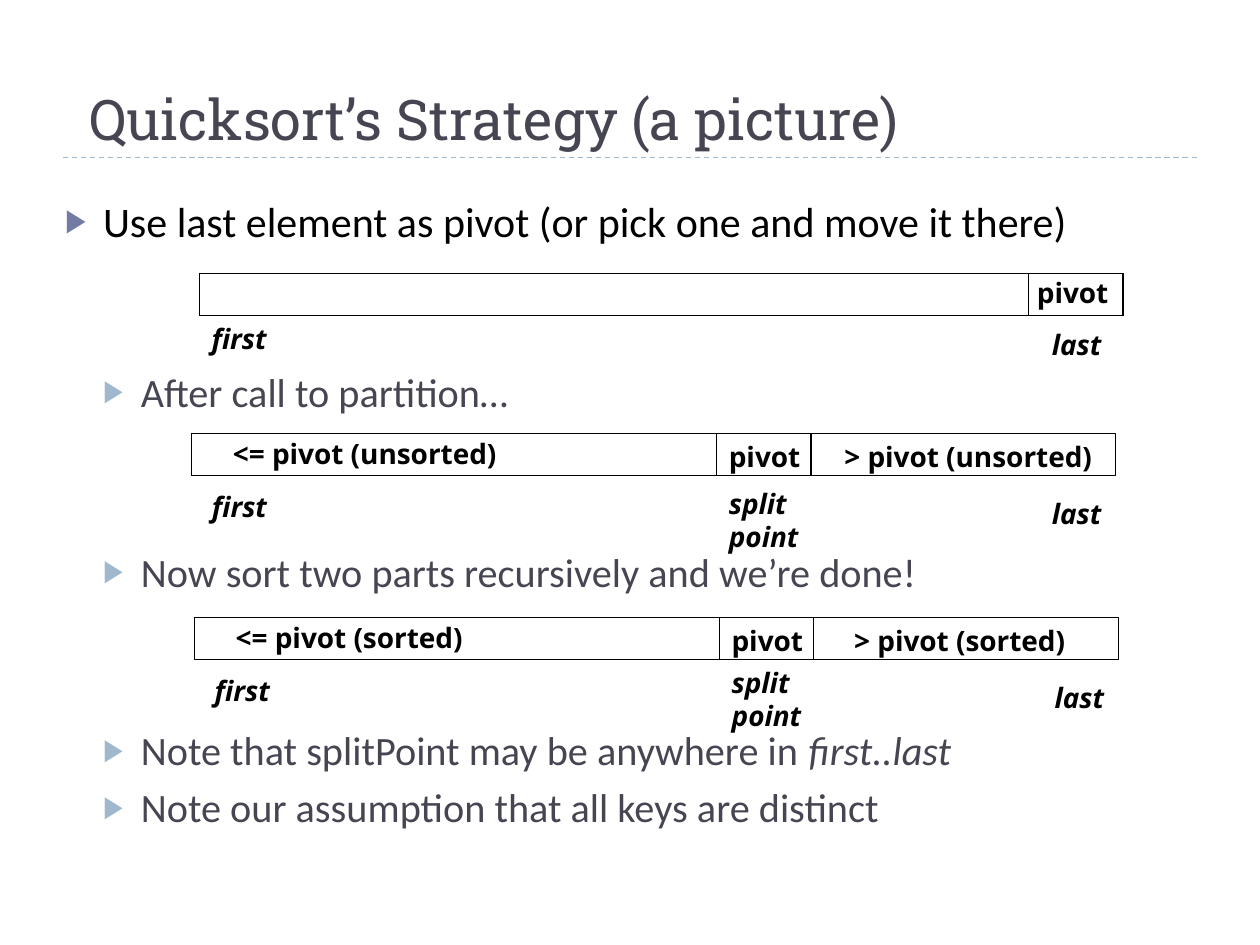
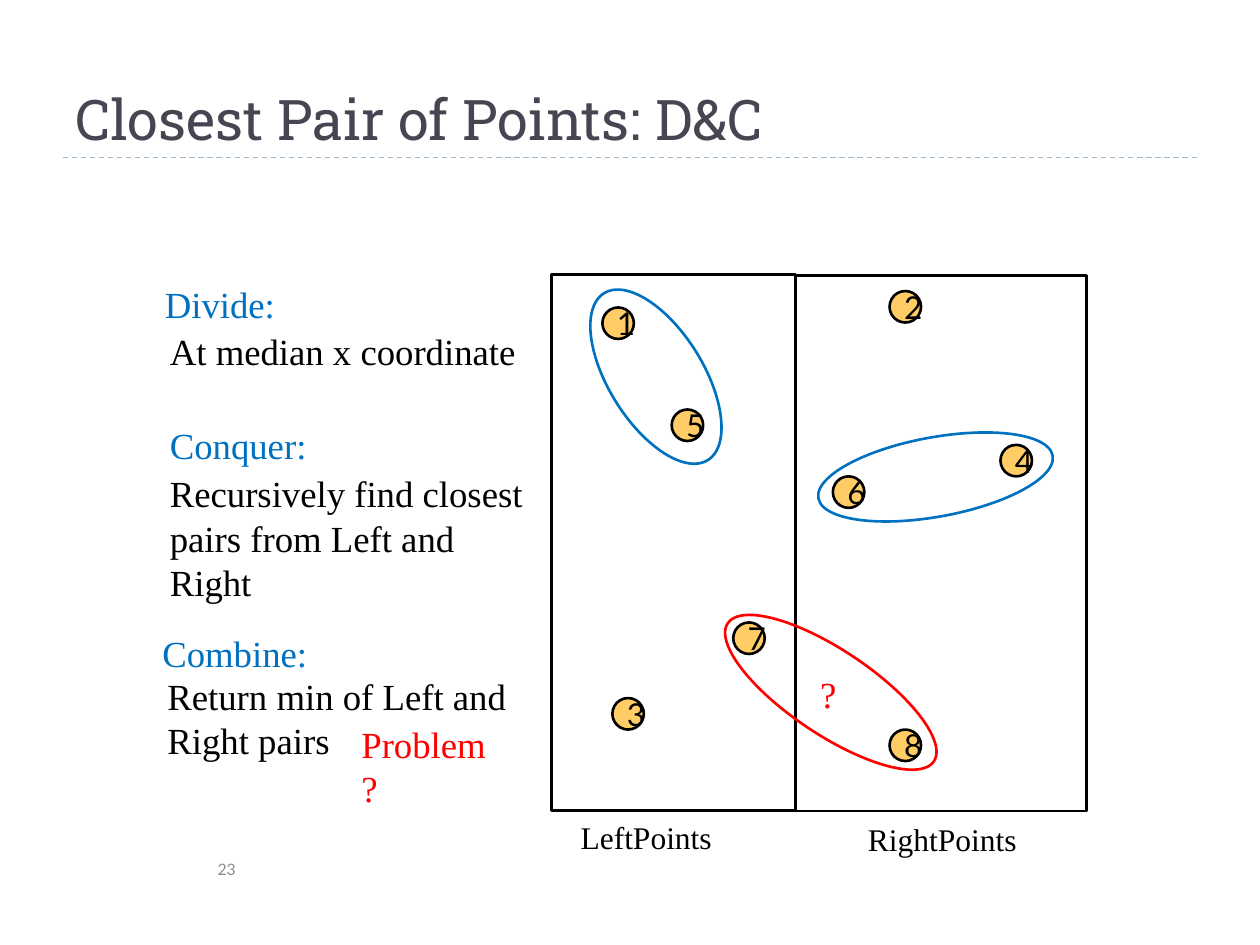
from lxml import etree
from pptx import Presentation
from pptx.dml.color import RGBColor
from pptx.enum import dml, shapes, text
from pptx.oxml import ns
from pptx.util import Pt

INK = RGBColor(0x46, 0x46, 0x53)
BLACK = RGBColor(0, 0, 0)
RULE = RGBColor(0x9F, 0xB8, 0xCD)
BULLET = RGBColor(0x72, 0x7C, 0xA3)
BLUE = RGBColor(0x00, 0x70, 0xC0)
RED = RGBColor(0xFF, 0, 0)
GOLD = RGBColor(0xFF, 0xCC, 0x66)
GREY = RGBColor(0x8C, 0x8C, 0x8C)

TITLE_FONT, BODY_FONT, ARRAY_FONT = "Roboto Slab", "Calibri", "Noto Sans"
NOTE_FONT, POINT_FONT = "Times New Roman", "Lato"

STRATEGY_TITLE = " Quicksort’s Strategy (a picture)"
# level, space before, runs as (words, italic)
BULLETS = [
    (0, 6, [("Use last element as pivot (or pick one and move it there)", False)]),
    (1, 69.5, [("After call to partition…", False)]),
    (1, 75.3, [("Now sort two parts recursively and we’re done!", False)]),
    (1, 74.2, [("Note that splitPoint may be anywhere in ", False), ("first..last", True)]),
    (1, 5, [("Note our assumption that all keys are distinct", False)]),
]
LEVELS = [(24, BLACK, BULLET), (23, INK, RULE)]
INDENT = 21.6

ARRAY_WIDTH, PIVOT_WIDTH, ARRAY_HEIGHT = 528, 54, 24
PIVOT_OFFSET = 300
# left, top, state, offset of the larger part, offset of the split label
PARTITIONED = [
    (109.4, 247.7, "unsorted", 366, 26.6),
    (111, 352.8, "sorted", 370, 23.8),
]

PAIR_TITLE = "Closest Pair of Points: D&C"
NOTES = [
    ("Divide:", 87.1, 157.7, 227.5, BLUE),
    ("At median x coordinate", 90, 184.3, 227.5, BLACK),
    ("Conquer:", 90, 238.3, 227.5, BLUE),
    ("Recursively find closest pairs from Left and Right", 90, 265.7, 227.5, BLACK),
    ("Combine:", 85.7, 357.1, 227.5, BLUE),
    ("Return min of Left and Right pairs", 88.6, 381.6, 227.5, BLACK),
    ("Problem?", 199.4, 409, 94.3, RED),
    ("?", 461.5, 380.2, 27.4, RED),
]
HALVES = [
    ("LeftPoints", 315.2, 157, 139.5, 324.7, 463.7, 90),
    ("RightPoints", 454.5, 157.5, 166.5, 488.9, 465.1, 100),
]
POINTS = [(344.2, 175.7), (508.3, 166.3), (349.9, 398.9), (571.7, 254.2),
          (383.8, 234), (475.9, 272.2), (419, 355.7), (508.3, 416.9)]
PAIRS = [
    (347.8, 159.1, 54, 112.3, 328.1, BLUE),
    (511.9, 204.5, 45.4, 136.1, 259.7, BLUE),
    (450.7, 324.7, 48.2, 141.8, 303.8, RED),
]


def set_font(font, name, size, color, bold=False, italic=False):
    font.name, font.size, font.bold, font.italic = name, Pt(size), bold, italic
    font.color.rgb = color


def add_text(slide, words, left, top, width, height, name, size, color,
             bold=False, italic=False, wrap=True, grow=True):
    box = slide.shapes.add_textbox(Pt(left), Pt(top), Pt(width), Pt(height))
    frame = box.text_frame
    frame.word_wrap = wrap
    if grow:
        frame.auto_size = text.MSO_AUTO_SIZE.SHAPE_TO_FIT_TEXT
    paragraph = frame.paragraphs[0]
    paragraph.text = words
    set_font(paragraph.font, name, size, color, bold, italic)
    return box


def add_outline(slide, kind, left, top, width, height, line=BLACK, weight=1.5, fill=None):
    shape = slide.shapes.add_shape(kind, Pt(left), Pt(top), Pt(width), Pt(height))
    shape.shadow.inherit = False
    shape.line.color.rgb = line
    shape.line.width = Pt(weight)
    if fill is None:
        shape.fill.background()
    else:
        shape.fill.solid()
        shape.fill.fore_color.rgb = fill
    return shape


def add_slide(presentation, title):
    slide = presentation.slides.add_slide(presentation.slide_layouts[6])
    rule = slide.shapes.add_connector(shapes.MSO_CONNECTOR.STRAIGHT,
                                      Pt(36), Pt(90), Pt(684), Pt(90))
    rule.line.color.rgb = RULE
    rule.line.width = Pt(0.75)
    rule.line.dash_style = dml.MSO_LINE.DASH
    etree.SubElement(rule._element.spPr, ns.qn("a:effectLst"))
    heading = add_text(slide, title, 36, 12.2, 648, 77.8, TITLE_FONT, 32, INK, grow=False)
    heading.text_frame.vertical_anchor = text.MSO_ANCHOR.BOTTOM
    return slide


def add_bullet(paragraph, level, color):
    properties = paragraph._p.get_or_add_pPr()
    properties.set("marL", str(Pt(INDENT * (level + 1))))
    properties.set("indent", str(-Pt(INDENT)))
    holder = etree.SubElement(properties, ns.qn("a:buClr"))
    etree.SubElement(holder, ns.qn("a:srgbClr"), val=str(color))
    etree.SubElement(properties, ns.qn("a:buSzPct"), val="76000")
    etree.SubElement(properties, ns.qn("a:buFont"), typeface="Arial")
    etree.SubElement(properties, ns.qn("a:buChar"), char="▶")


def add_bullets(slide):
    frame = slide.shapes.add_textbox(Pt(30.2), Pt(108), Pt(666), Pt(432)).text_frame
    frame.word_wrap = True
    for index, (level, gap, runs) in enumerate(BULLETS):
        paragraph = frame.paragraphs[0] if index == 0 else frame.add_paragraph()
        size, color, bullet_color = LEVELS[level]
        paragraph.level = level
        paragraph.space_before = Pt(gap)
        add_bullet(paragraph, level, bullet_color)
        for words, italic in runs:
            run = paragraph.add_run()
            run.text = words
            set_font(run.font, BODY_FONT, size, color, italic=italic)


def add_array(slide, left, top, pivot_offset, labels):
    for offset, width in ((0, ARRAY_WIDTH), (pivot_offset, PIVOT_WIDTH)):
        add_outline(slide, shapes.MSO_SHAPE.RECTANGLE, left + offset, top,
                    width, ARRAY_HEIGHT, weight=0.75)
    for words, across, down, width, italic, wrap in labels:
        add_text(slide, words, left + across, top + down, width, 26.6,
                 ARRAY_FONT, 16, BLACK, bold=True, italic=italic, wrap=wrap)


def build_strategy(presentation):
    slide = add_slide(presentation, STRATEGY_TITLE)
    add_bullets(slide)
    add_array(slide, 113.8, 156.2, ARRAY_WIDTH - PIVOT_WIDTH, [
        ("pivot", 471.6, -2.2, 87, False, True),
        ("first", 0, 23.8, 48.2, True, True),
        ("last", 480.2, 27.4, 48.2, True, True),
    ])
    for left, top, state, larger_offset, split_drop in PARTITIONED:
        add_array(slide, left, top, PIVOT_OFFSET, [
            ("pivot", PIVOT_OFFSET, 0, 72, False, True),
            (f"<= pivot ({state})", 16.6, -1.8, 178.6 if state == "unsorted" else 157.7,
             False, False),
            (f"> pivot ({state})", larger_offset, 0, 198, False, True),
            ("first", 4.6, 28.8, 48.2, True, True),
            ("last", 484.6, 32.4, 48.2, True, True),
            ("split point", PIVOT_OFFSET, split_drop, 77.8, True, True),
        ])


def build_closest_pair(presentation):
    slide = add_slide(presentation, PAIR_TITLE)
    for name, left, top, width, label_left, label_top, label_width in HALVES:
        add_outline(slide, shapes.MSO_SHAPE.RECTANGLE, left, top, width, 306)
        add_text(slide, name, label_left, label_top, label_width, 28.8,
                 NOTE_FONT, 18, BLACK, wrap=False)
    for number, (left, top) in enumerate(POINTS, 1):
        point = add_outline(slide, shapes.MSO_SHAPE.OVAL, left, top, 18, 18, fill=GOLD)
        frame = point.text_frame
        frame.word_wrap = True
        frame.vertical_anchor = text.MSO_ANCHOR.MIDDLE
        paragraph = frame.paragraphs[0]
        paragraph.text = str(number)
        paragraph.alignment = text.PP_ALIGN.CENTER
        set_font(paragraph.font, POINT_FONT, 18, BLACK)
    for left, top, width, height, angle, color in PAIRS:
        ring = add_outline(slide, shapes.MSO_SHAPE.OVAL, left, top, width, height, color)
        ring.rotation = angle
    for words, left, top, width, color in NOTES:
        add_text(slide, words, left, top, width, 32.4, NOTE_FONT, 21, color)
    number = add_text(slide, "23", 13.7, 486, 126, 21.6, POINT_FONT, 9, GREY, grow=False)
    frame = number.text_frame
    frame.margin_left = frame.margin_right = Pt(5)
    frame.margin_top = frame.margin_bottom = Pt(2.9)
    frame.vertical_anchor = text.MSO_ANCHOR.MIDDLE
    frame.paragraphs[0].alignment = text.PP_ALIGN.RIGHT


presentation = Presentation()
presentation.slide_width, presentation.slide_height = Pt(720), Pt(540)
build_strategy(presentation)
build_closest_pair(presentation)
presentation.save("out.pptx")
